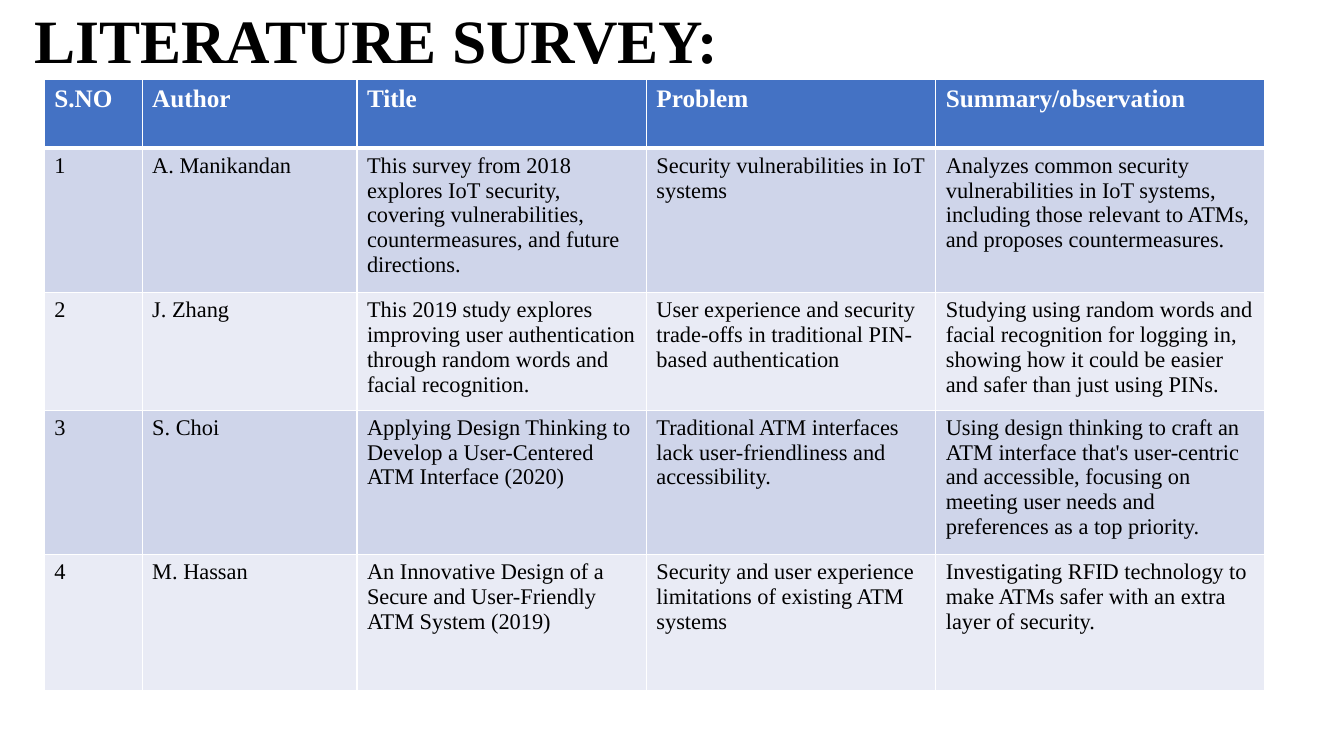
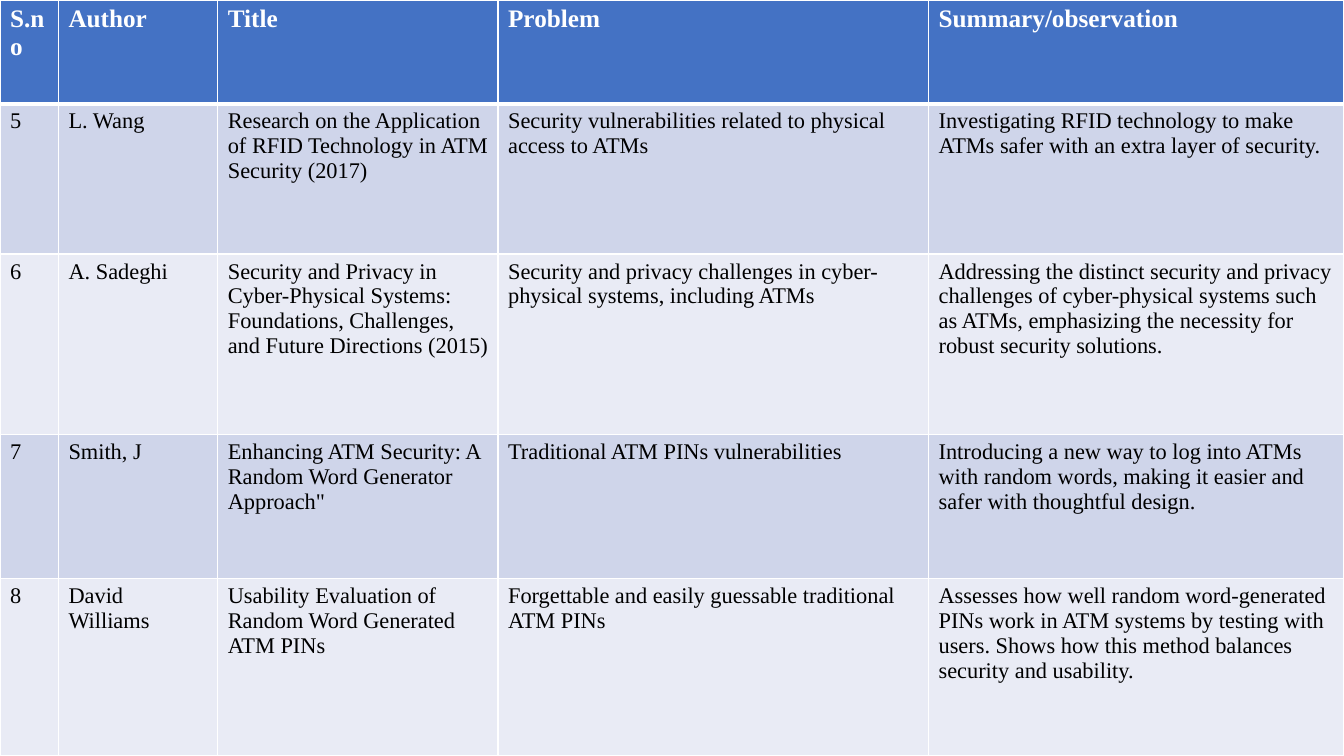
import dataclasses

import lxml.etree
import pptx
import pptx.dml.color
import pptx.enum.text
import pptx.oxml.ns
import pptx.util

RGB = pptx.dml.color.RGBColor.from_string
Pt = pptx.util.Pt


@dataclasses.dataclass(frozen=True)
class Theme:
    font: str = "Times New Roman"
    ink: str = "000000"
    paper: str = "FFFFFF"
    header: str = "4472C4"
    bands: tuple = ("CFD5EA", "E9EBF5")
    title_size: int = 44
    header_size: int = 18
    body_size: int = 16
    rule: int = 1
    header_rule: int = 3


THEME = Theme()
TITLE_FORMAT = {"name": THEME.font, "size": Pt(THEME.title_size), "bold": True,
                "color": THEME.ink}
HEADER_FORMAT = {"name": THEME.font, "size": Pt(THEME.header_size), "bold": True,
                 "color": THEME.paper}
BODY_FORMAT = {"name": THEME.font, "size": Pt(THEME.body_size), "bold": False,
               "color": THEME.ink}

# Boxes are left, top, width and height in percent of the slide.
TITLE_BOX = (1.8, 0, 86.27, 11.6)
FIRST_TABLE = {
    "box": (3.3, 10.53, 90.8, 78.8),
    "columns": (0.97, 2.13, 2.87, 2.87, 3.26),
    "rows": (0.68, 1.4, 1.14, 1.34, 1.35),
}
SECOND_TABLE = {
    "box": (0, 0, 100, 100),
    "columns": (0.58, 1.58, 2.78, 4.27, 4.12),
    "rows": (1.03, 1.49, 1.79, 1.43, 1.76),
}

HEADINGS = ("Author", "Title", "Problem", "Summary/observation")
RFID_SUMMARY = ("Investigating RFID technology to make ATMs safer with an extra "
                "layer of security.")
PAPERS = (
    ("A. Manikandan",
     "This survey from 2018 explores IoT security, covering vulnerabilities, "
     "countermeasures, and future directions.",
     "Security vulnerabilities in IoT systems",
     "Analyzes common security vulnerabilities in IoT systems, including those "
     "relevant to ATMs, and proposes countermeasures."),
    ("J. Zhang",
     "This 2019 study explores improving user authentication through random words "
     "and facial recognition.",
     "User experience and security trade-offs in traditional PIN-based authentication",
     "Studying using random words and facial recognition for logging in, showing "
     "how it could be easier and safer than just using PINs."),
    ("S. Choi",
     "Applying Design Thinking to Develop a User-Centered ATM Interface (2020)",
     "Traditional ATM interfaces lack user-friendliness and accessibility.",
     "Using design thinking to craft an ATM interface that's user-centric and "
     "accessible, focusing on meeting user needs and preferences as a top priority."),
    ("M. Hassan",
     "An Innovative Design of a Secure and User-Friendly ATM System (2019)",
     "Security and user experience limitations of existing ATM systems",
     RFID_SUMMARY),
    ("L. Wang",
     "Research on the Application of RFID Technology in ATM Security (2017)",
     "Security vulnerabilities related to physical access to ATMs",
     RFID_SUMMARY),
    ("A. Sadeghi",
     "Security and Privacy in Cyber-Physical Systems: Foundations, Challenges, and "
     "Future Directions (2015)",
     "Security and privacy challenges in cyber-physical systems, including ATMs",
     "Addressing the distinct security and privacy challenges of cyber-physical "
     "systems such as ATMs, emphasizing the necessity for robust security solutions."),
    ("Smith, J",
     'Enhancing ATM Security: A Random Word Generator Approach"',
     "Traditional ATM PINs vulnerabilities",
     "Introducing a new way to log into ATMs with random words, making it easier "
     "and safer with thoughtful design."),
    ("David Williams",
     "Usability Evaluation of Random Word Generated ATM PINs",
     "Forgettable and easily guessable traditional ATM PINs",
     "Assesses how well random word-generated PINs work in ATM systems by testing "
     "with users. Shows how this method balances security and usability."),
)
ROWS = [(str(number), *paper) for number, paper in enumerate(PAPERS, 1)]


def place(prs, box):
    """Turn a box in percent into slide lengths."""
    sides = (prs.slide_width, prs.slide_height) * 2
    return [round(side * share / 100) for side, share in zip(sides, box)]


def add_slide(prs):
    slide = prs.slides.add_slide(prs.slide_layouts[6])
    slide.background.fill.solid()
    slide.background.fill.fore_color.rgb = RGB(THEME.paper)
    return slide


def write(tf, text, text_format):
    p = tf.paragraphs[0]
    r = p.add_run()
    r.text = text
    for key, value in text_format.items():
        if key == "color":
            r.font.color.rgb = RGB(value)
        else:
            setattr(r.font, key, value)
    return p


def add_title(prs, slide, text):
    tf = slide.shapes.add_textbox(*place(prs, TITLE_BOX)).text_frame
    tf.word_wrap = True
    tf.vertical_anchor = pptx.enum.text.MSO_ANCHOR.MIDDLE
    write(tf, text, TITLE_FORMAT).line_spacing = 0.9


def add_borders(cell, row):
    """Rule all four sides, with a heavier line under the header row."""
    qn = pptx.oxml.ns.qn
    widths = {"L": THEME.rule, "R": THEME.rule,
              "T": THEME.header_rule if row == 1 else THEME.rule,
              "B": THEME.header_rule if row == 0 else THEME.rule}
    tc_pr = cell._tc.get_or_add_tcPr()
    for side, width in widths.items():
        ln = lxml.etree.SubElement(tc_pr, qn("a:ln" + side), w=str(Pt(width)))
        fill = lxml.etree.SubElement(ln, qn("a:solidFill"))
        lxml.etree.SubElement(fill, qn("a:srgbClr"), val=THEME.paper)


def add_table(prs, slide, records, box, columns, rows):
    """Draw records in a box shared out by column and row weights."""
    left, top, width, height = place(prs, box)
    table = slide.shapes.add_table(len(rows), len(columns), left, top,
                                   width, height).table
    for column, weight in zip(table.columns, columns):
        column.width = round(width * weight / sum(columns))
    for row, weight in zip(table.rows, rows):
        row.height = round(height * weight / sum(rows))
    for i, record in enumerate(records):
        color = THEME.bands[(i - 1) % 2] if i else THEME.header
        for j, text in enumerate(record):
            cell = table.cell(i, j)
            add_borders(cell, i)
            cell.fill.solid()
            cell.fill.fore_color.rgb = RGB(color)
            write(cell.text_frame, text, BODY_FORMAT if i else HEADER_FORMAT)


def main():
    prs = pptx.Presentation()
    prs.slide_width = pptx.util.Inches(13.33)
    prs.slide_height = pptx.util.Inches(7.5)

    slide = add_slide(prs)
    add_title(prs, slide, "LITERATURE SURVEY:")
    add_table(prs, slide, [("S.NO", *HEADINGS), *ROWS[:4]], **FIRST_TABLE)

    slide = add_slide(prs)
    add_table(prs, slide, [("S.no", *HEADINGS), *ROWS[4:]], **SECOND_TABLE)

    prs.save("out.pptx")


if __name__ == "__main__":
    main()
